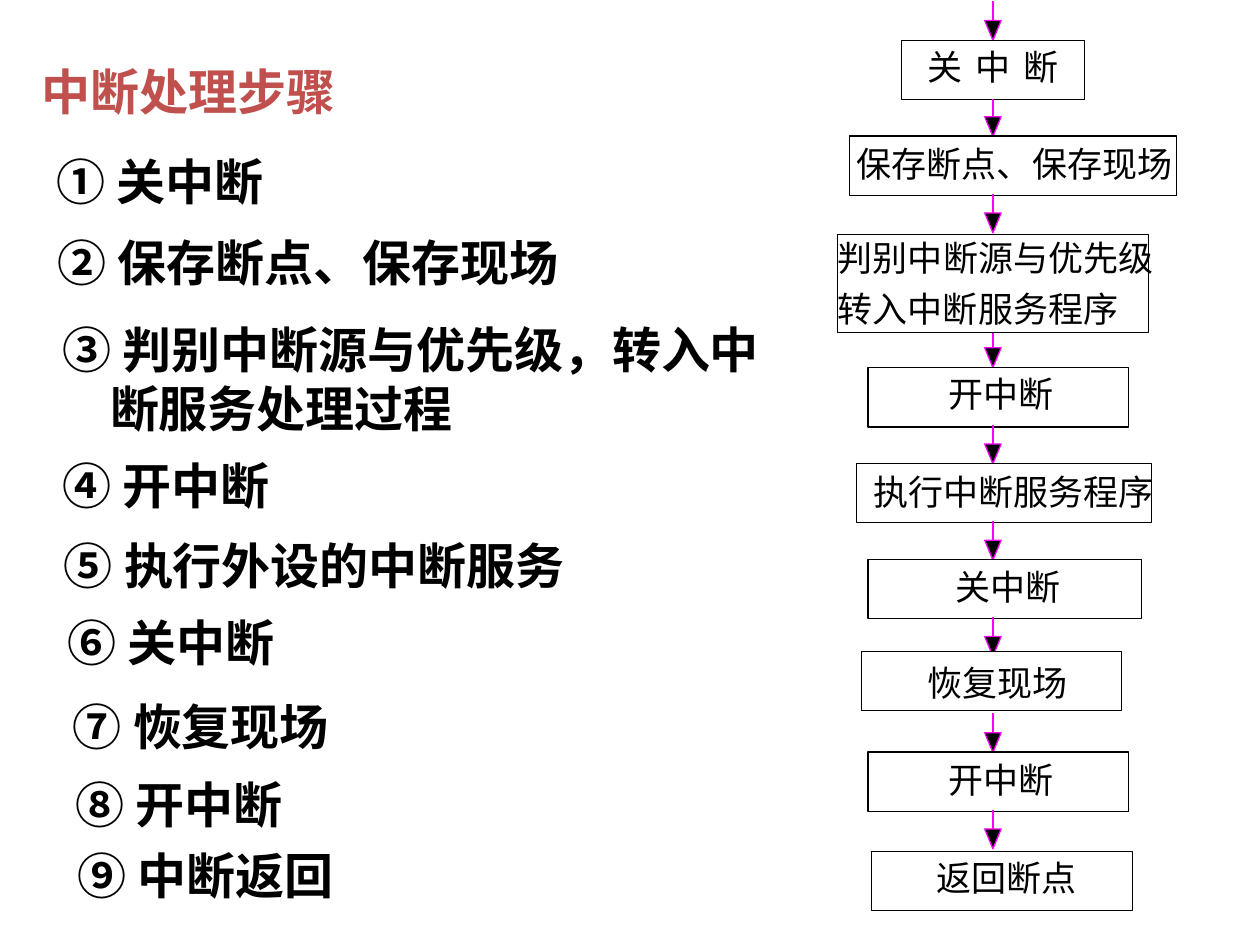
from dataclasses import dataclass

import pptx
import pptx.dml.color
import pptx.enum.shapes
import pptx.enum.text
import pptx.oxml
import pptx.util

Pt = pptx.util.Pt
RGBColor = pptx.dml.color.RGBColor

BLACK = RGBColor(0x00, 0x00, 0x00)
WHITE = RGBColor(0xFF, 0xFF, 0xFF)
MAGENTA = RGBColor(0xFF, 0x00, 0xFF)
BRICK = RGBColor(0xC0, 0x50, 0x4D)
CJK_FONT = "Noto Sans CJK SC"
LATIN_FONT = "Arial"

ARROW_X = 567.4
ARROW_TOP = 0.7
ARROW_PITCH = 55
TALL_STAGE = 2
TALL_EXTRA = 22
SHAFT_LENGTH = 12.7
HEAD_OFFSET = 11
HEAD_WIDTH = 9.4
HEAD_HEIGHT = 11.3
STAGE_HEIGHT = 33.8
LABEL_SIZE = 20
LABEL_SLACK = 4


@dataclass(frozen=True)
class Label:
    text: str
    left: float
    top: float


@dataclass(frozen=True)
class Stage:
    left: float
    top: float
    width: float
    labels: tuple[Label, ...]
    height: float = STAGE_HEIGHT
    arrow_joined: bool = False


@dataclass(frozen=True)
class Step:
    left: float
    top: float
    width: float
    height: float
    runs: tuple[tuple[str, str], ...]
    color: RGBColor = BLACK


STAGES = (
    Stage(515.2, 23, 104.4,
          tuple(Label(character, 529.9 + 27.35 * i, 25.9) for i, character in enumerate("关中断")),
          arrow_joined=True),
    Stage(485.3, 77.8, 187.2, (Label("保存断点、保存现场", 489.6, 81.4),)),
    Stage(478.5, 133.9, 177.8,
          (Label("判别中断源与优先级", 478.8, 135.4), Label("转入中断服务程序", 478.8, 164.2)),
          height=56.2, arrow_joined=True),
    Stage(496.1, 210.2, 149, (Label("开中断", 542.2, 213.1),)),
    Stage(489.6, 265, 168.5, (Label("执行中断服务程序", 499, 268.6),)),
    Stage(496.1, 319.7, 156.2, (Label("关中断", 545.8, 323.3),)),
    Stage(492.5, 372.2, 148.3, (Label("恢复现场", 529.9, 378),)),
    Stage(496.1, 429.8, 149, (Label("开中断", 542.2, 433.4),)),
    Stage(498.2, 486.7, 149, (Label("返回断点", 535, 489.6),)),
)

STEPS = (
    Step(16.6, 31.7, 207.4, 45.4, (("中断处理步骤", LATIN_FONT),), BRICK),
    Step(25.2, 82.8, 206.6, 45.4, (("① 关", CJK_FONT), ("中断", LATIN_FONT))),
    Step(25.9, 129.6, 351.4, 45.4, (("② 保存断点、保存现场", CJK_FONT),)),
    Step(28.8, 179.3, 429.8, 79.2, (("③ 判别中断源与优先级，转入中断服务处理过程", CJK_FONT),)),
    Step(28.8, 257, 429.8, 46.8, (("④ 开中断", CJK_FONT),)),
    Step(29.5, 302.4, 429.8, 46.8, (("⑤ 执行外设的中断服务", CJK_FONT),)),
    Step(31.7, 346.3, 207.4, 45.4, (("⑥ 关", CJK_FONT), ("中断", LATIN_FONT))),
    Step(34.6, 394.6, 351.4, 45.4, (("⑦ 恢复现场", CJK_FONT),)),
    Step(36, 439.2, 429.8, 46.8, (("⑧ 开中断", CJK_FONT),)),
    Step(37.4, 479.5, 429.8, 46.8, (("⑨ 中断返回", CJK_FONT),)),
)


def paint(shape, fill: RGBColor, line: RGBColor) -> None:
    shape.shadow.inherit = False
    shape.fill.solid()
    shape.fill.fore_color.rgb = fill
    shape.line.color.rgb = line
    shape.line.width = Pt(0.75)


def draw_arrow(shapes, top: float, source=None) -> None:
    shaft = shapes.add_connector(
        pptx.enum.shapes.MSO_CONNECTOR.STRAIGHT,
        Pt(ARROW_X), Pt(top), Pt(ARROW_X), Pt(top + SHAFT_LENGTH))
    if source is not None:
        shaft.begin_connect(source, 2)
        shaft.end_x = shaft.begin_x
    shaft.line.color.rgb = MAGENTA
    shaft.line.width = Pt(0.75)
    shaft._element.spPr.append(pptx.oxml.parse_xml(
        '<a:effectLst xmlns:a="http://schemas.openxmlformats.org/drawingml/2006/main"/>'))

    head_top = top + HEAD_OFFSET
    left, right = ARROW_X - HEAD_WIDTH / 2, ARROW_X + HEAD_WIDTH / 2
    outline = shapes.build_freeform(Pt(left), Pt(head_top))
    outline.add_line_segments(
        [(Pt(ARROW_X), Pt(head_top + HEAD_HEIGHT)), (Pt(right), Pt(head_top))], close=True)
    paint(outline.convert_to_shape(), BLACK, MAGENTA)


def draw_label(shapes, label: Label) -> None:
    width = LABEL_SIZE * len(label.text) + LABEL_SLACK
    box = shapes.add_textbox(Pt(label.left), Pt(label.top), Pt(width), Pt(24))
    frame = box.text_frame
    frame.margin_left = frame.margin_right = frame.margin_top = frame.margin_bottom = 0
    frame.word_wrap = False
    frame.auto_size = pptx.enum.text.MSO_AUTO_SIZE.NONE
    paragraph = frame.paragraphs[0]
    paragraph.text = label.text
    paragraph.alignment = pptx.enum.text.PP_ALIGN.LEFT
    paragraph.font.name = CJK_FONT
    paragraph.font.size = Pt(LABEL_SIZE)
    paragraph.font.color.rgb = BLACK


def draw_stage(shapes, stage: Stage):
    box = shapes.add_shape(
        pptx.enum.shapes.MSO_SHAPE.RECTANGLE,
        Pt(stage.left), Pt(stage.top), Pt(stage.width), Pt(stage.height))
    paint(box, WHITE, BLACK)
    for label in stage.labels:
        draw_label(shapes, label)
    return box


def draw_step(shapes, step: Step) -> None:
    box = shapes.add_textbox(Pt(step.left), Pt(step.top), Pt(step.width), Pt(step.height))
    box.text_frame.word_wrap = True
    paragraph = box.text_frame.paragraphs[0]
    properties = paragraph._p.get_or_add_pPr()
    properties.set("marL", str(Pt(27)))
    properties.set("indent", str(Pt(-27)))
    paragraph.font.size = Pt(28)
    paragraph.font.bold = True
    paragraph.font.color.rgb = step.color
    fonts = {font for _, font in step.runs}
    if len(fonts) == 1:
        paragraph.font.name = fonts.pop()
    for text, font in step.runs:
        run = paragraph.add_run()
        run.text = text
        if len(step.runs) > 1:
            run.font.name = font


def main() -> None:
    deck = pptx.Presentation()
    deck.slide_width, deck.slide_height = Pt(720), Pt(540)
    shapes = deck.slides.add_slide(deck.slide_layouts[6]).shapes

    source = None
    for index, stage in enumerate(STAGES):
        extra = TALL_EXTRA if index > TALL_STAGE else 0
        draw_arrow(shapes, ARROW_TOP + ARROW_PITCH * index + extra, source)
        box = draw_stage(shapes, stage)
        source = box if stage.arrow_joined else None

    for step in STEPS:
        draw_step(shapes, step)
    deck.save("out.pptx")


if __name__ == "__main__":
    main()
